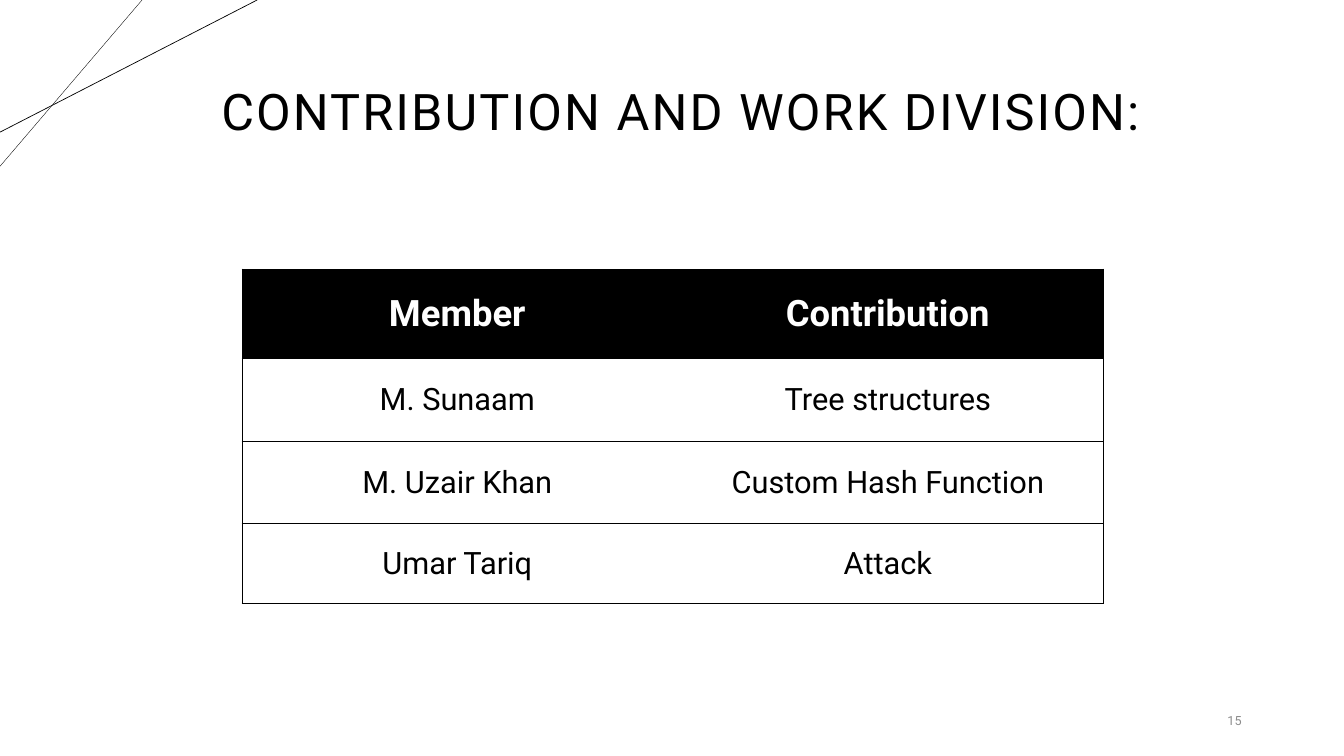
from dataclasses import dataclass

from lxml.etree import SubElement
from pptx import Presentation
from pptx.dml.color import RGBColor
from pptx.enum.shapes import MSO_CONNECTOR as Connector
from pptx.enum.text import MSO_ANCHOR as Anchor, PP_ALIGN as Align
from pptx.oxml.ns import qn
from pptx.util import Cm, Pt


@dataclass(frozen=True)
class Theme:
    font: str = "Roboto"
    ink: str = "000000"
    paper: str = "FFFFFF"
    muted: str = "8C8C8C"
    title_size: int = 36
    header_size: int = 26
    body_size: int = 22
    number_size: int = 9
    title_tracking: float = 1.5
    border_width: float = 0.5


class SlideBuilder:
    def __init__(self, slide, theme):
        self.slide = slide
        self.theme = theme
        slide.background.fill.solid()
        slide.background.fill.fore_color.rgb = RGBColor.from_string(theme.paper)

    def add_text_run(self, frame, text, size, color, align, bold=False, tracking=0):
        paragraph = frame.paragraphs[0]
        paragraph.alignment = align
        run = paragraph.add_run()
        run.text = text
        run.font.name = self.theme.font
        run.font.size = Pt(size)
        run.font.bold = bold
        run.font.color.rgb = RGBColor.from_string(color)
        if tracking:
            run.font._element.set("spc", str(round(tracking * 100)))
        return paragraph

    def text(self, box, text, size, color, align=Align.LEFT, tracking=0):
        frame = self.slide.shapes.add_textbox(*map(Cm, box)).text_frame
        frame.word_wrap = True
        frame.vertical_anchor = Anchor.MIDDLE
        return self.add_text_run(frame, text, size, color, align, tracking=tracking)

    def line(self, start, end, width):
        line = self.slide.shapes.add_connector(
            Connector.STRAIGHT, *map(Cm, (*start, *end))
        )
        line.line.color.rgb = RGBColor.from_string(self.theme.ink)
        line.line.width = Pt(width)
        SubElement(line._element.spPr, qn("a:effectLst"))

    def borders(self, cell, visible):
        properties = cell._tc.get_or_add_tcPr()
        for side in "LRTB":
            border = SubElement(
                properties, qn(f"a:ln{side}"), w=str(Pt(self.theme.border_width))
            )
            if side in visible:
                fill = SubElement(border, qn("a:solidFill"))
                SubElement(fill, qn("a:srgbClr"), val=self.theme.ink)
            else:
                SubElement(border, qn("a:noFill"))

    def table(self, left, top, column_width, heights, rows):
        theme = self.theme
        columns = len(rows[0])
        table = self.slide.shapes.add_table(
            len(rows), columns, Cm(left), Cm(top),
            Cm(column_width * columns), Cm(sum(heights)),
        ).table
        for column in table.columns:
            column.width = Cm(column_width)
        for row_index, (height, row) in enumerate(zip(heights, rows)):
            header = row_index == 0
            table.rows[row_index].height = Cm(height)
            fill, ink, size = (
                (theme.ink, theme.paper, theme.header_size) if header
                else (theme.paper, theme.ink, theme.body_size)
            )
            for column_index, text in enumerate(row):
                cell = table.cell(row_index, column_index)
                outer = "L" * (column_index == 0) + "R" * (column_index == columns - 1)
                self.borders(cell, "TB" + outer)
                cell.fill.solid()
                cell.fill.fore_color.rgb = RGBColor.from_string(fill)
                cell.vertical_anchor = Anchor.MIDDLE
                self.add_text_run(
                    cell.text_frame, text, size, ink, Align.CENTER, bold=header
                )


def main():
    presentation = Presentation()
    presentation.slide_width = Cm(33.87)
    presentation.slide_height = Cm(19.05)
    theme = Theme()
    slide = presentation.slides.add_slide(presentation.slide_layouts[6])
    builder = SlideBuilder(slide, theme)

    builder.line((3.58, 0), (0, 4.19), 0.25)
    builder.line((6.48, 0), (0, 3.33), 0.5)
    builder.table(6.1, 6.78, 10.85, (2.26, 2.08, 2.08, 2.01), (
        ("Member", "Contribution"),
        ("M. Sunaam", "Tree structures"),
        ("M. Uzair Khan", "Custom Hash Function"),
        ("Umar Tariq", "Attack"),
    ))
    builder.text(
        (28.8, 17.65, 2.74, 1.02), "15", theme.number_size, theme.muted, Align.RIGHT
    )
    title = builder.text(
        (5.33, 1.4, 24.23, 2.95), "CONTRIBUTION AND WORK DIVISION:",
        theme.title_size, theme.ink, tracking=theme.title_tracking,
    )
    title.line_spacing = 0.9
    presentation.save("out.pptx")


if __name__ == "__main__":
    main()
